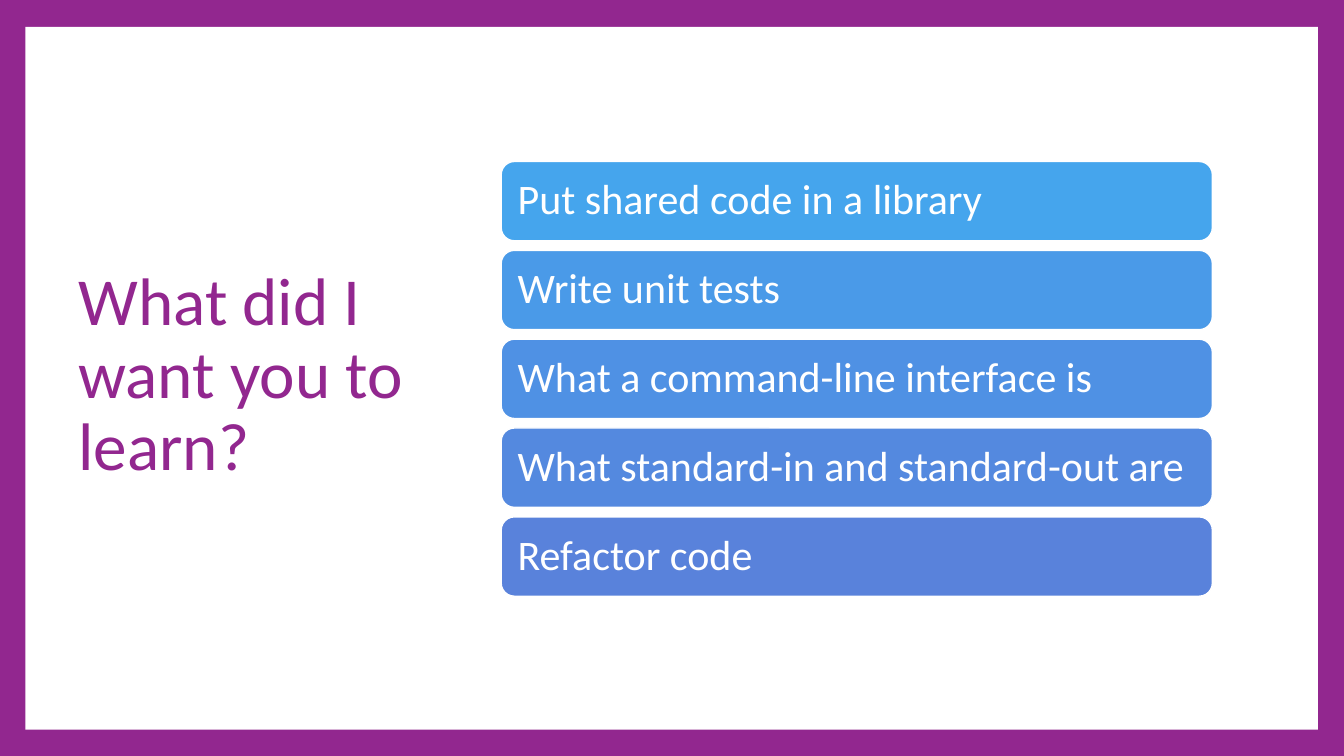
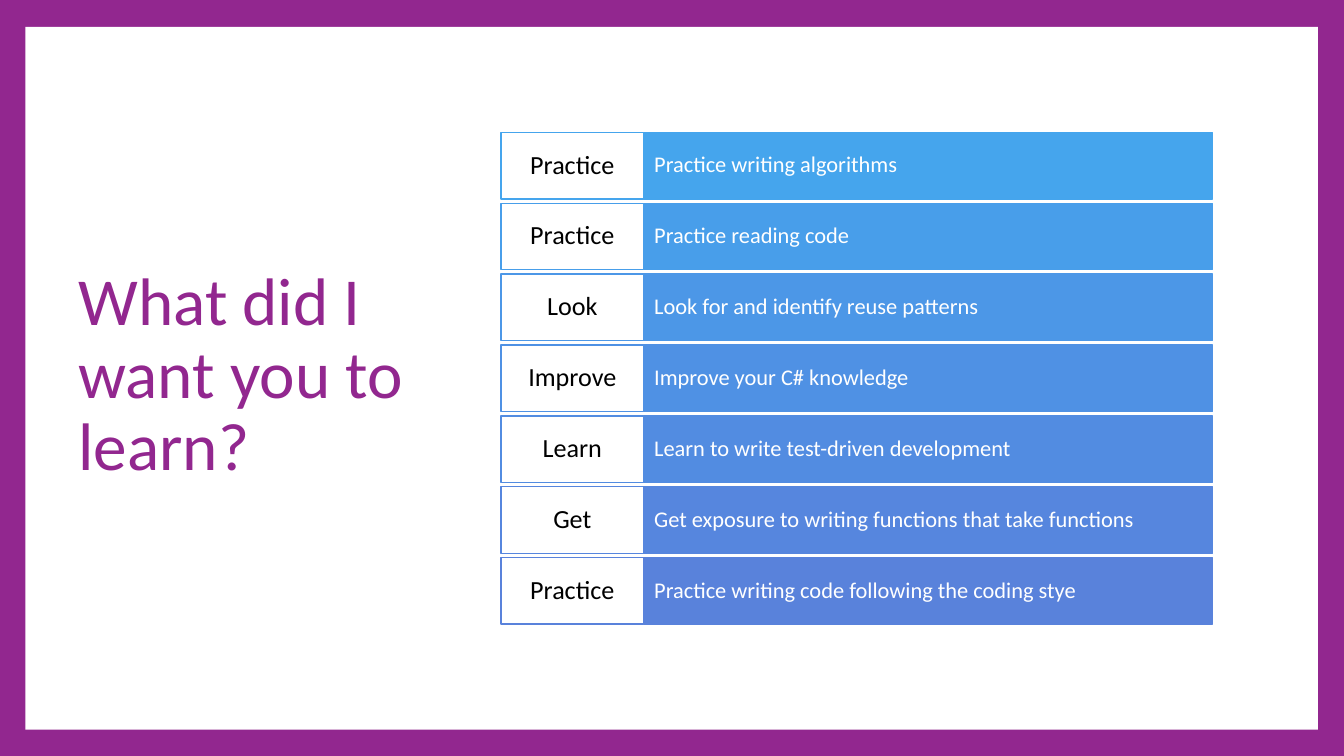
from collections import namedtuple

from pptx import Presentation
from pptx.dml.color import RGBColor
from pptx.enum.shapes import MSO_SHAPE
from pptx.enum.text import MSO_ANCHOR, PP_ALIGN
from pptx.util import Pt

RECTANGLE = MSO_SHAPE.RECTANGLE
ROUNDED = MSO_SHAPE.ROUNDED_RECTANGLE
MIDDLE = MSO_ANCHOR.MIDDLE
LEFT, CENTER = PP_ALIGN.LEFT, PP_ALIGN.CENTER

PURPLE = RGBColor(0x92, 0x27, 0x8F)
WHITE = RGBColor(0xFF, 0xFF, 0xFF)
BLACK = RGBColor(0x00, 0x00, 0x00)
# Blue shades from lightest to darkest, one per row
BAR_SHADES = [RGBColor.from_string(code) for code in
              "45A5ED 4A9AE8 4F91E4 5489DF 5982DB".split()]
ROW_SHADES = [RGBColor.from_string(code) for code in
              "45A5ED 489EEA 4C97E7 4F91E4 528CE1 5686DE 5982DB".split()]

FONT = "Calibri"
TITLE = "What did I want you to learn?"

# All lengths in points
Box = namedtuple("Box", "left top width height")
SLIDE_WIDTH, SLIDE_HEIGHT = 1440, 810
PANEL_BOX = Box(27.2, 28.8, 1384.8, 753)
TITLE_BOX = Box(77, 72, 397.5, 662.4)
BARS_BOX = Box(537, 173, 762, 465.8)
ROWS_BOX = Box(537, 141.8, 762, 527)
LABEL_SHARE = 0.2

LESSONS = [
    "Put shared code in a library",
    "Write unit tests",
    "What a command-line interface is",
    "What standard-in and standard-out are",
    "Refactor code",
]
PRACTICES = [
    ("Practice", "Practice writing algorithms"),
    ("Practice", "Practice reading code"),
    ("Look", "Look for and identify reuse patterns"),
    ("Improve", "Improve your C# knowledge"),
    ("Learn", "Learn to write test-driven development"),
    ("Get", "Get exposure to writing functions that take functions"),
    ("Practice", "Practice writing code following the coding stye"),
]


def in_points(box):
    return [Pt(length) for length in box]


def write(shape, text, *, size, color, align=LEFT, inset_x=7.2, inset_y=3.6):
    frame = shape.text_frame
    frame.word_wrap = True
    frame.vertical_anchor = MIDDLE
    frame.margin_left = frame.margin_right = Pt(inset_x)
    frame.margin_top = frame.margin_bottom = Pt(inset_y)
    paragraph = frame.paragraphs[0]
    paragraph.text = text
    paragraph.alignment = align
    paragraph.line_spacing = 0.9
    paragraph.font.name = FONT
    paragraph.font.size = Pt(size)
    paragraph.font.color.rgb = color


def add_block(slide, kind, box, fill, line=None):
    shape = slide.shapes.add_shape(kind, *in_points(box))
    shape.shadow.inherit = False
    shape.fill.solid()
    shape.fill.fore_color.rgb = fill
    if line is None:
        shape.line.fill.background()
    else:
        shape.line.color.rgb = line
        shape.line.width = Pt(1.5)
    return shape


def split_rows(box, count, gap):
    """Divide a box into equal rows separated by a gap."""
    height = (box.height - gap * (count - 1)) / count
    return [Box(box.left, box.top + index * (height + gap), box.width, height)
            for index in range(count)]


def add_framed_slide(presentation):
    """Purple border, white panel and title at the left."""
    slide = presentation.slides.add_slide(presentation.slide_layouts[6])
    slide.background.fill.solid()
    slide.background.fill.fore_color.rgb = PURPLE
    add_block(slide, RECTANGLE, PANEL_BOX, WHITE)
    title = slide.shapes.add_textbox(*in_points(TITLE_BOX))
    write(title, TITLE, size=72, color=PURPLE)
    return slide


def add_lesson_bars(slide, box):
    """Stack of rounded bars, one lesson each."""
    rows = split_rows(box, len(LESSONS), gap=10.2)
    for row, lesson, shade in zip(rows, LESSONS, BAR_SHADES):
        bar = add_block(slide, ROUNDED, row, shade, WHITE)
        write(bar, lesson, size=45, color=WHITE, inset_x=13.5, inset_y=13.5)


def add_practice_rows(slide, box):
    """Rows with a white label cell and a blue description cell."""
    label_width = box.width * LABEL_SHARE
    rows = split_rows(box, len(PRACTICES), gap=4.6)
    for row, (verb, detail), shade in zip(rows, PRACTICES, ROW_SHADES):
        detail_box = row._replace(left=row.left + label_width,
                                  width=row.width - label_width)
        detail_cell = add_block(slide, RECTANGLE, detail_box, shade, shade)
        write(detail_cell, detail, size=24, color=WHITE,
              inset_x=11.5, inset_y=18)
        label_box = row._replace(width=label_width)
        label_cell = add_block(slide, RECTANGLE, label_box, WHITE, shade)
        write(label_cell, verb, size=28, color=BLACK, align=CENTER,
              inset_x=8, inset_y=7.2)


def main():
    presentation = Presentation()
    presentation.slide_width = Pt(SLIDE_WIDTH)
    presentation.slide_height = Pt(SLIDE_HEIGHT)
    add_lesson_bars(add_framed_slide(presentation), BARS_BOX)
    add_practice_rows(add_framed_slide(presentation), ROWS_BOX)
    presentation.save("out.pptx")


if __name__ == "__main__":
    main()
